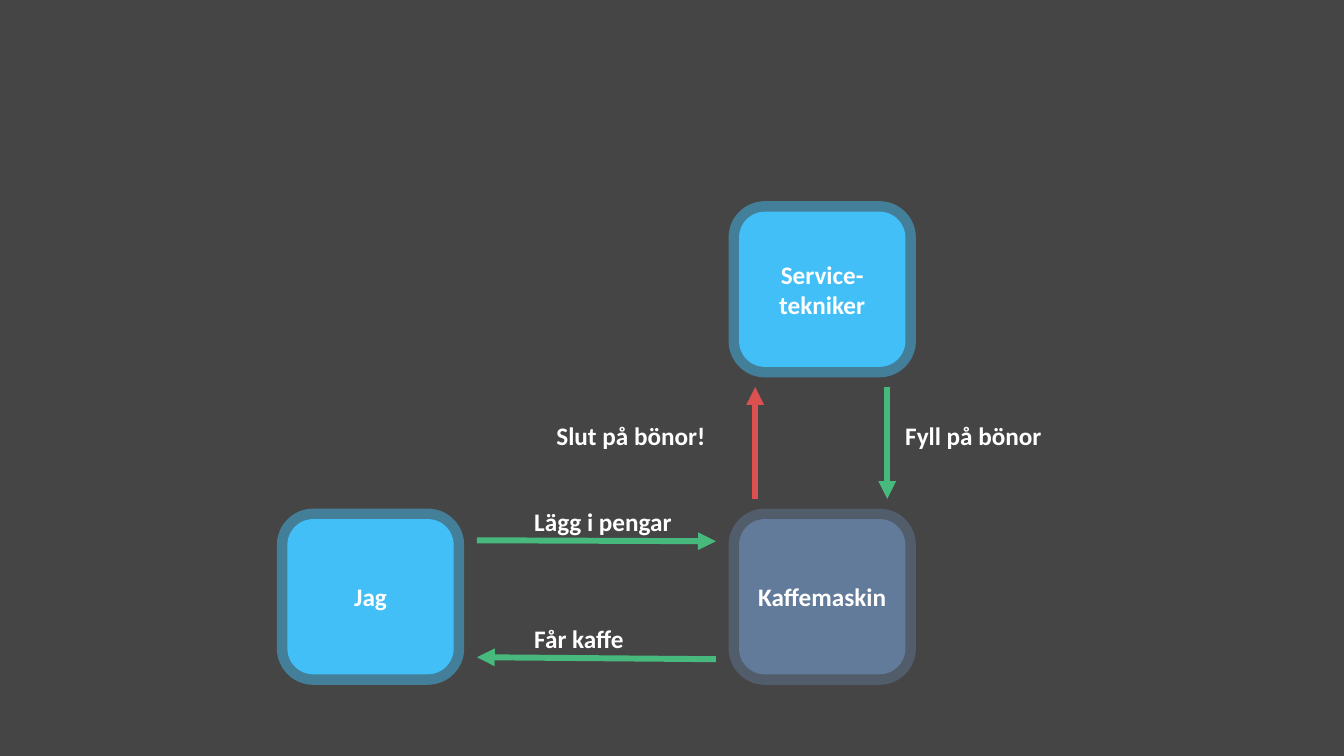
"""Build a slide of how a customer, a coffee machine and a technician interact."""
import lxml.etree
import pptx
import pptx.dml.color
import pptx.enum.shapes
import pptx.enum.text
import pptx.oxml.ns
import pptx.util

COLOURS = {
    "background": "454545",
    "person": "43BFF7",
    "machine": "637B9B",
    "supply": "47B97D",
    "alarm": "DB5151",
    "text": "FFFFFF",
}
COLUMNS = (2.85, 7.33)
ROWS = (2.1, 5.15)
BOX_WIDTH, BOX_HEIGHT = 1.65, 1.54
GAP = 0.2
INCH = pptx.util.Inches
qn = pptx.oxml.ns.qn


def paint(colour_format, name):
    colour_format.rgb = pptx.dml.color.RGBColor.from_string(COLOURS[name])


def write(frame, wording):
    para = frame.paragraphs[0]
    span = para.add_run()
    span.text = wording
    span.font.name = "Calibri"
    span.font.size = pptx.util.Pt(18)
    span.font.bold = True
    paint(span.font.color, "text")
    return para


deck = pptx.Presentation()
deck.slide_width, deck.slide_height = INCH(13.33), INCH(7.5)
page = deck.slides.add_slide(deck.slide_layouts[6])
page.background.fill.solid()
paint(page.background.fill.fore_color, "background")

actors = [
    ("Kaffemaskin", 1, 1, "machine", 46),
    ("Service-tekniker", 1, 0, "person", 48),
    ("Jag", 0, 1, "person", 48),
]
for name, column, row, colour, opacity in actors:
    box = page.shapes.add_shape(
        pptx.enum.shapes.MSO_SHAPE.ROUNDED_RECTANGLE,
        INCH(COLUMNS[column]), INCH(ROWS[row]), INCH(BOX_WIDTH), INCH(BOX_HEIGHT))
    box.shadow.inherit = False
    box.fill.solid()
    paint(box.fill.fore_color, colour)
    box.line.width = pptx.util.Pt(15)
    paint(box.line.color, colour)
    border = box.line._get_or_add_ln().find(".//" + qn("a:srgbClr"))
    lxml.etree.SubElement(border, qn("a:alpha"), val=str(opacity * 1000))
    box.text_frame.word_wrap = True
    box.text_frame.vertical_anchor = pptx.enum.text.MSO_ANCHOR.MIDDLE
    write(box.text_frame, name).alignment = pptx.enum.text.PP_ALIGN.CENTER

left = COLUMNS[0] + BOX_WIDTH + GAP + 0.03
right = COLUMNS[1] - GAP - 0.03
top = ROWS[0] + BOX_HEIGHT + GAP
bottom = ROWS[1] - GAP
flows = [
    ("supply", (left, 5.36), (right, 5.37)),
    ("alarm", (7.49, bottom), (7.49, top)),
    ("supply", (8.8, top), (8.8, bottom)),
    ("supply", (right, 6.54), (left, 6.52)),
]
for colour, start, end in flows:
    arrow = page.shapes.add_connector(
        pptx.enum.shapes.MSO_CONNECTOR.STRAIGHT, *map(INCH, start + end))
    arrow.line.width = pptx.util.Pt(4.25)
    paint(arrow.line.color, colour)
    lxml.etree.SubElement(arrow.line._get_or_add_ln(), qn("a:tailEnd"), type="triangle")
    lxml.etree.SubElement(arrow._element.spPr, qn("a:effectLst"))

labels = [
    ("Lägg i pengar", 5.2, 4.97, 1.58),
    ("Slut på bönor!", 5.42, 4.12, 1.69),
    ("Fyll på bönor", 8.88, 4.12, 1.56),
    ("Får kaffe", 5.2, 6.13, 1.11),
]
for wording, x, y, width in labels:
    label = page.shapes.add_textbox(INCH(x), INCH(y), INCH(width), INCH(0.4))
    label.text_frame.word_wrap = False
    label.text_frame.auto_size = pptx.enum.text.MSO_AUTO_SIZE.SHAPE_TO_FIT_TEXT
    write(label.text_frame, wording)

deck.save("out.pptx")
